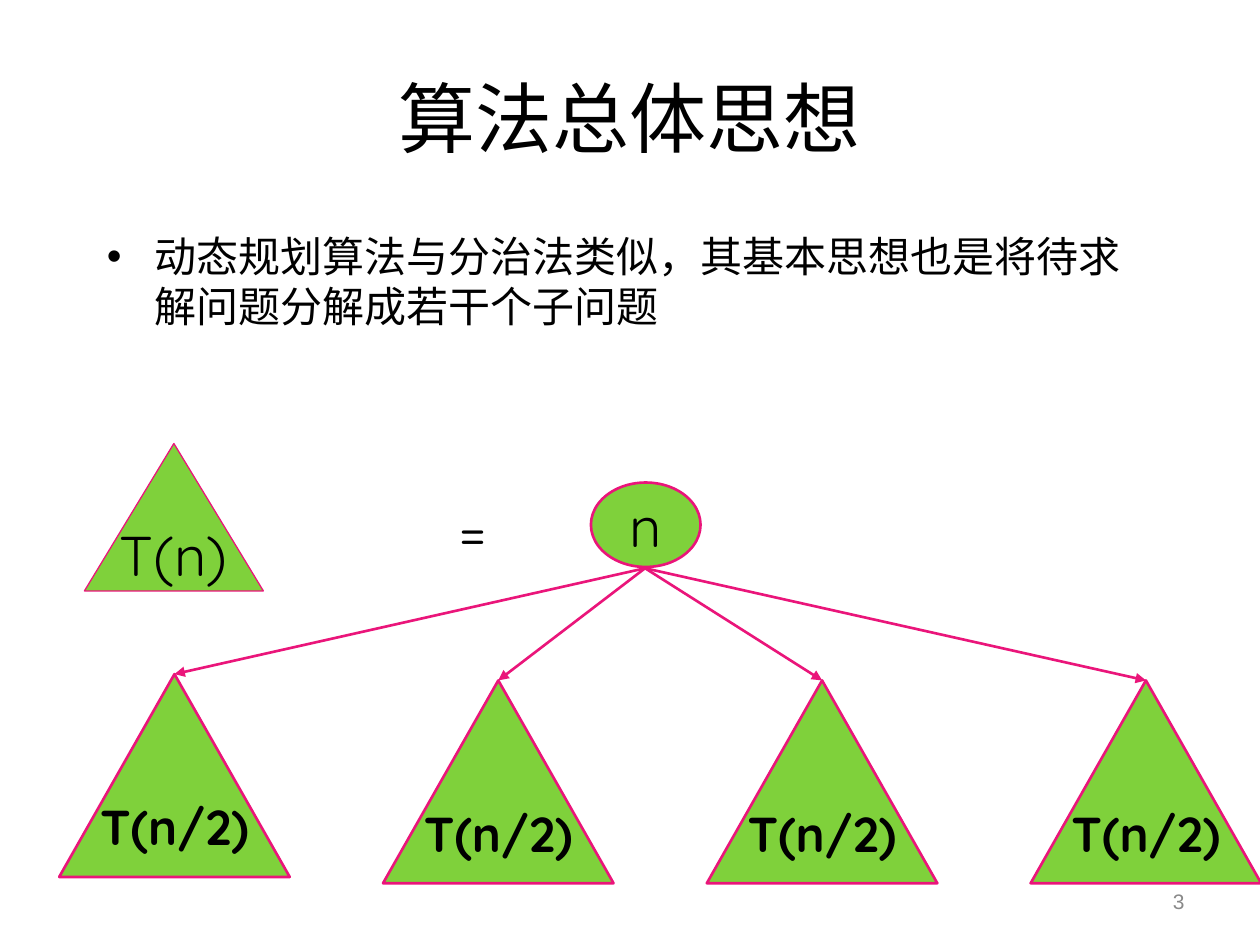
from lxml.etree import SubElement
from pptx import Presentation
from pptx.dml.color import RGBColor
from pptx.enum.shapes import MSO_CONNECTOR, MSO_SHAPE
from pptx.enum.text import MSO_ANCHOR, PP_ALIGN
from pptx.oxml.ns import qn
from pptx.util import Inches, Pt

BLACK = RGBColor(0x00, 0x00, 0x00)
GRAY = RGBColor(0x89, 0x89, 0x89)
GREEN = RGBColor(0x7F, 0xD1, 0x3B)
PINK = RGBColor(0xEA, 0x15, 0x7A)


def write(tf, text, size, font, color=BLACK, bold=False, align=PP_ALIGN.CENTER):
    """Write one run into the first paragraph and return the paragraph."""
    p = tf.paragraphs[0]
    p.alignment = align
    r = p.add_run()
    r.text = text
    r.font.size, r.font.name, r.font.bold = Pt(size), font, bold
    r.font.color.rgb = color
    return p


def add_text(s, box, text, size, font, anchor=MSO_ANCHOR.TOP, **style):
    """Add a wrapping text box and return its paragraph."""
    tf = s.shapes.add_textbox(*map(Inches, box)).text_frame
    tf.word_wrap = True
    tf.vertical_anchor = anchor
    return write(tf, text, size, font, **style)


def add_bullet(p, indent):
    """Give a paragraph a round bullet with a hanging indent."""
    pPr = p._p.get_or_add_pPr()
    pPr.set("marL", str(Inches(indent)))
    pPr.set("indent", str(-Inches(indent)))
    SubElement(pPr, qn("a:buFont"), typeface="Arial")
    SubElement(pPr, qn("a:buChar"), char="•")


def add_node(s, kind, box, text, size, width=1.5, bold=False):
    """Add a green shape with a pink outline and a label."""
    sp = s.shapes.add_shape(kind, *map(Inches, box))
    sp.shadow.inherit = False
    sp.fill.solid()
    sp.fill.fore_color.rgb = GREEN
    sp.line.color.rgb = PINK
    sp.line.width = Pt(width)
    tf = sp.text_frame
    tf.word_wrap = False
    tf.vertical_anchor = MSO_ANCHOR.MIDDLE
    write(tf, text, size, "Quicksand", bold=bold)


def add_arrow(s, start, end):
    """Add a pink arrow from start to end."""
    c = s.shapes.add_connector(MSO_CONNECTOR.STRAIGHT, *map(Inches, start + end))
    c.line.color.rgb = PINK
    c.line.width = Pt(1.5)
    SubElement(c.line._get_or_add_ln(), qn("a:tailEnd"), type="triangle")
    SubElement(c._element.spPr, qn("a:effectLst"))


def add_recursion_tree(s):
    """Draw the root node with its four half-size subproblems."""
    width, height, pitch = 1.83, 1.61, 2.57
    add_node(s, MSO_SHAPE.OVAL, (4.69, 3.83, 0.87, 0.67), "n", 32)
    for i, top in enumerate((5.35, 5.4, 5.4, 5.4)):
        left = 0.47 + i * pitch
        add_arrow(s, (5.12, 4.51), (left + width / 2, top))
        add_node(s, MSO_SHAPE.ISOSCELES_TRIANGLE, (left, top, width, height),
                 "T(n/2)", 28, bold=True)


def main():
    """Build the slide and save it."""
    prs = Presentation()
    prs.slide_width, prs.slide_height = Inches(10), Inches(7.5)
    s = prs.slides.add_slide(prs.slide_layouts[6])
    add_text(s, (0.5, 0.3, 9, 1.25), "算法总体思想", 44, "Calibri", MSO_ANCHOR.MIDDLE)
    add_text(s, (7.17, 6.95, 2.33, 0.4), "3", 12, "Arial", MSO_ANCHOR.MIDDLE,
             color=GRAY, align=PP_ALIGN.RIGHT)
    body = add_text(s, (0.75, 1.78, 8.5, 4.5),
                    "动态规划算法与分治法类似，其基本思想也是将待求解问题分解成若干个子问题",
                    24, "Noto Sans CJK SC", align=PP_ALIGN.LEFT)
    add_bullet(body, 0.38)
    add_recursion_tree(s)
    add_node(s, MSO_SHAPE.ISOSCELES_TRIANGLE, (0.67, 3.52, 1.42, 1.17), "T(n)", 32, 0.75)
    add_text(s, (3.17, 3.88, 1.17, 0.64), "=", 32, "Quicksand")
    prs.save("out.pptx")


if __name__ == "__main__":
    main()
